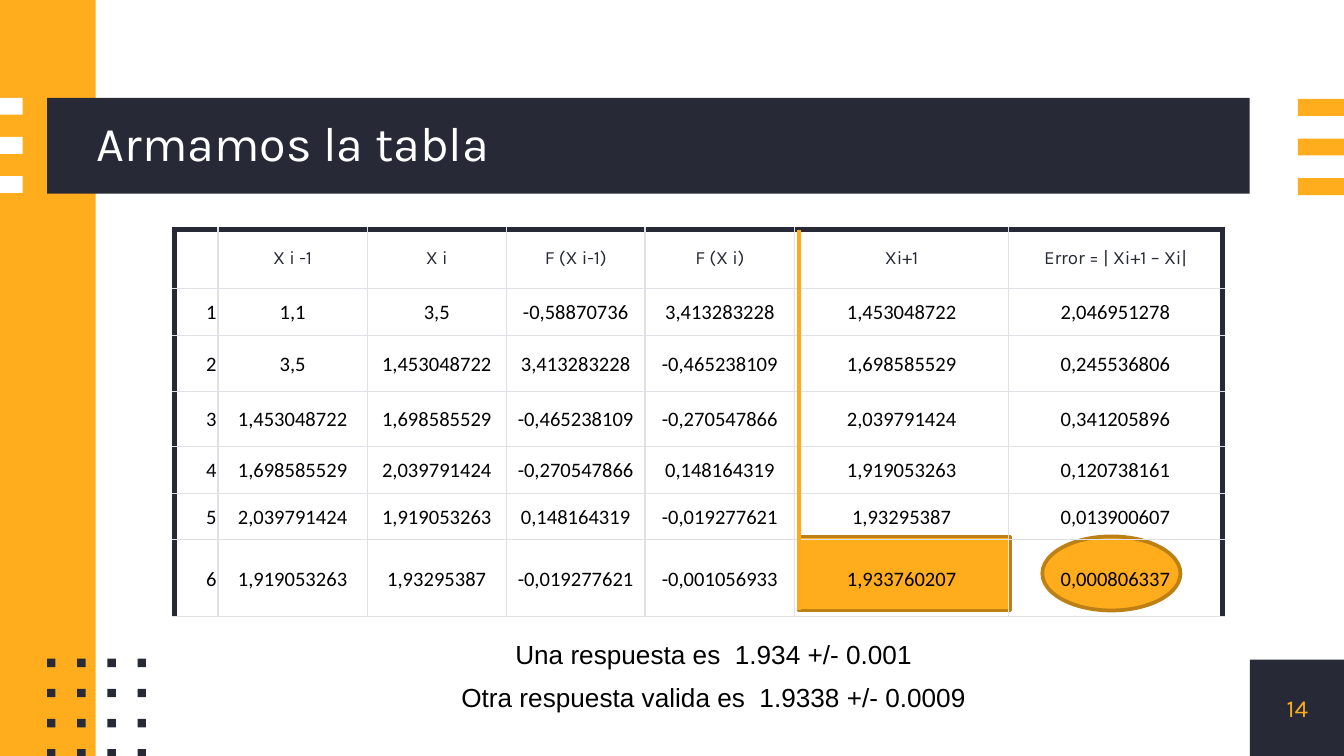
import pptx
import pptx.dml.color
import pptx.enum.shapes
import pptx.enum.text
import pptx.oxml.ns
import pptx.util
from lxml import etree
from pptx.util import Cm

SHAPES = pptx.enum.shapes.MSO_SHAPE
ALIGN = pptx.enum.text.PP_ALIGN
MIDDLE = pptx.enum.text.MSO_ANCHOR.MIDDLE

COLORS = {
    "navy": "272A36",
    "amber": "FFAD1D",
    "divider": "FFAB17",
    "outline": "BD8015",
    "grid": "E0E0E7",
    "white": "FFFFFF",
    "black": "000000",
}

HEADINGS = ["", "X i -1", "X i", "F (X i-1)", "F (X i)", "Xi+1", "Error = | Xi+1 – Xi|"]
ITERATIONS = [
    ["1", "1,1", "3,5", "-0,58870736", "3,413283228", "1,453048722", "2,046951278"],
    ["2", "3,5", "1,453048722", "3,413283228", "-0,465238109", "1,698585529", "0,245536806"],
    ["3", "1,453048722", "1,698585529", "-0,465238109", "-0,270547866", "2,039791424", "0,341205896"],
    ["4", "1,698585529", "2,039791424", "-0,270547866", "0,148164319", "1,919053263", "0,120738161"],
    ["5", "2,039791424", "1,919053263", "0,148164319", "-0,019277621", "1,93295387", "0,013900607"],
    ["6", "1,919053263", "1,93295387", "-0,019277621", "-0,001056933", "1,933760207", "0,000806337"],
]
COLUMN_WIDTHS = [0.82, 2.82, 2.63, 2.62, 2.83, 4.04, 4.04]
ROW_HEIGHTS = [1.07, 0.89, 1.05, 1.05, 0.88, 0.88, 1.45]


def rgb(color):
    return pptx.dml.color.RGBColor.from_string(COLORS[color])


def write(frame, text, *, size, font="Karla", color="black", align=ALIGN.CENTER, spacing=None):
    paragraph = frame.paragraphs[0]
    paragraph.alignment = align
    paragraph.line_spacing = spacing
    run = paragraph.add_run()
    run.text = text
    run.font.size = pptx.util.Pt(size)
    run.font.name = font
    run.font.color.rgb = rgb(color)


def add_block(slide, left, top, width, height, fill, kind=SHAPES.RECTANGLE, outline=None):
    block = slide.shapes.add_shape(kind, Cm(left), Cm(top), Cm(width), Cm(height))
    block.shadow.inherit = False
    block.fill.solid()
    block.fill.fore_color.rgb = rgb(fill)
    if outline:
        block.line.color.rgb = rgb(outline)
        block.line.width = pptx.util.Pt(2)
    else:
        block.line.fill.background()


def add_label(slide, left, top, width, height, text, inset=0, **style):
    frame = slide.shapes.add_textbox(Cm(left), Cm(top), Cm(width), Cm(height)).text_frame
    frame.word_wrap = True
    frame.vertical_anchor = MIDDLE
    frame.margin_left = frame.margin_right = Cm(inset)
    frame.margin_top = frame.margin_bottom = Cm(inset / 2)
    write(frame, text, **style)


def add_border(cell, side, color, points):
    """Draw one cell edge; side is L, R, T or B, called in that order."""
    properties = cell._tc.get_or_add_tcPr()
    edge = etree.SubElement(properties, pptx.oxml.ns.qn(f"a:ln{side}"), w=str(pptx.util.Pt(points)))
    fill = etree.SubElement(edge, pptx.oxml.ns.qn("a:solidFill"))
    etree.SubElement(fill, pptx.oxml.ns.qn("a:srgbClr"), val=COLORS[color])


def add_decoration(slide):
    add_block(slide, 23.62, 12.47, 1.8, 1.82, "navy")
    add_block(slide, 0, 0, 1.81, 14.29, "amber")
    add_block(slide, 0.89, 1.85, 22.73, 1.81, "navy")
    for i in range(3):
        add_block(slide, 0, 1.85 + 0.74 * i, 0.43, 0.32, "white")
        add_block(slide, 24.53, 1.87 + 0.75 * i, 0.87, 0.32, "amber")
    for row in range(4):
        for column in range(4):
            add_block(slide, 0.89 + 0.57 * column, 12.45 + 0.57 * row, 0.16, 0.16, "navy")


def add_iterations(slide, left, top):
    rows = [HEADINGS] + ITERATIONS
    last_column = len(HEADINGS) - 1
    table = slide.shapes.add_table(
        len(rows), len(HEADINGS), Cm(left), Cm(top), Cm(sum(COLUMN_WIDTHS)), Cm(sum(ROW_HEIGHTS))
    ).table
    table.first_row = table.horz_banding = False
    for column, width in zip(table.columns, COLUMN_WIDTHS):
        column.width = Cm(width)
    for row, height in zip(table.rows, ROW_HEIGHTS):
        row.height = Cm(height)

    for r, values in enumerate(rows):
        for c, value in enumerate(values):
            cell = table.cell(r, c)
            thick = {"L": c == 0, "R": c == last_column, "T": r == 0, "B": False}
            for side, is_frame in thick.items():
                add_border(cell, side, *(("navy", 3) if is_frame else ("grid", 0.75)))
            cell.fill.background()
            cell.vertical_anchor = MIDDLE
            if r == 0:
                cell.margin_left = cell.margin_right = Cm(0.25)
                cell.margin_top = cell.margin_bottom = Cm(0.18)
                write(cell.text_frame, value, size=10, color="navy")
            else:
                cell.margin_left = cell.margin_right = cell.margin_top = Cm(0.03)
                cell.margin_bottom = Cm(0)
                align = ALIGN.RIGHT if c == 0 else ALIGN.CENTER
                write(cell.text_frame, value, size=11, font="Calibri", align=align)


def add_divider(slide, x, top, bottom):
    divider = slide.shapes.add_connector(
        pptx.enum.shapes.MSO_CONNECTOR.STRAIGHT, Cm(x), Cm(top), Cm(x), Cm(bottom)
    )
    divider.line.color.rgb = rgb("divider")
    divider.line.width = pptx.util.Pt(2.25)
    etree.SubElement(divider._element.spPr, pptx.oxml.ns.qn("a:effectLst"))


def main():
    presentation = pptx.Presentation()
    presentation.slide_width = Cm(25.4)
    presentation.slide_height = Cm(14.29)
    slide = presentation.slides.add_slide(presentation.slide_layouts[6])

    add_decoration(slide)
    add_block(slide, 19.7, 10.14, 2.61, 1.4, "amber", SHAPES.OVAL, "outline")
    add_block(slide, 15.1, 10.14, 4, 1.4, "amber", outline="outline")
    add_label(slide, 1.83, 1.85, 21.79, 1.81, "Armamos la tabla",
              size=26, color="white", align=ALIGN.LEFT, spacing=0.9)
    add_iterations(slide, 3.3, 4.33)
    add_label(slide, 23.62, 12.47, 1.8, 1.82, "14", size=13, color="amber")
    answers = ["Una respuesta es  1.934 +/- 0.001", "Otra respuesta valida es  1.9338 +/- 0.0009"]
    for i, answer in enumerate(answers):
        add_label(slide, 4.09, 11.94 + 0.81 * i, 18.8, 0.86, answer, inset=0.25, size=14, font="Arial")
    add_divider(slide, 15.1, 4.34, 11.53)

    presentation.save("out.pptx")


if __name__ == "__main__":
    main()
